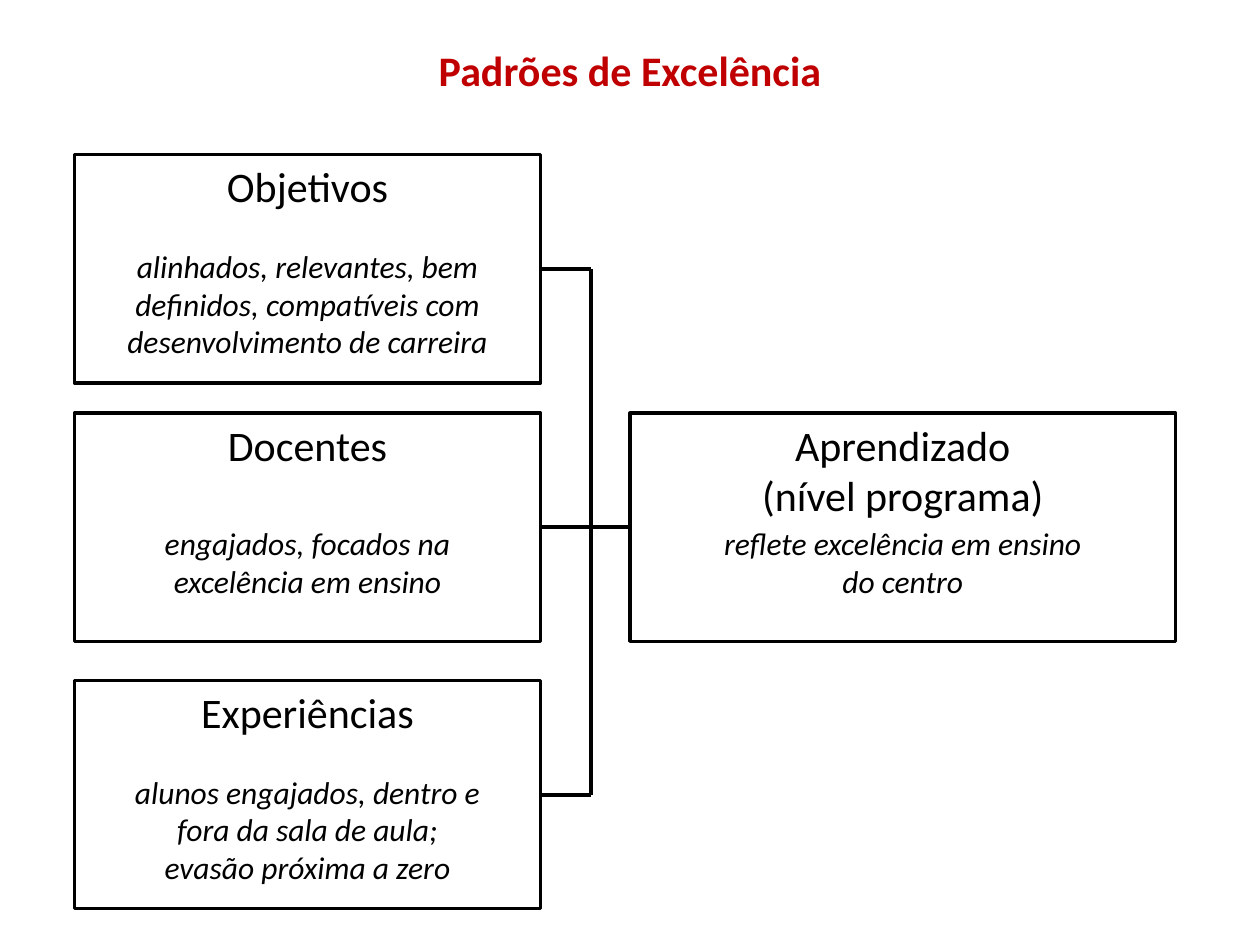
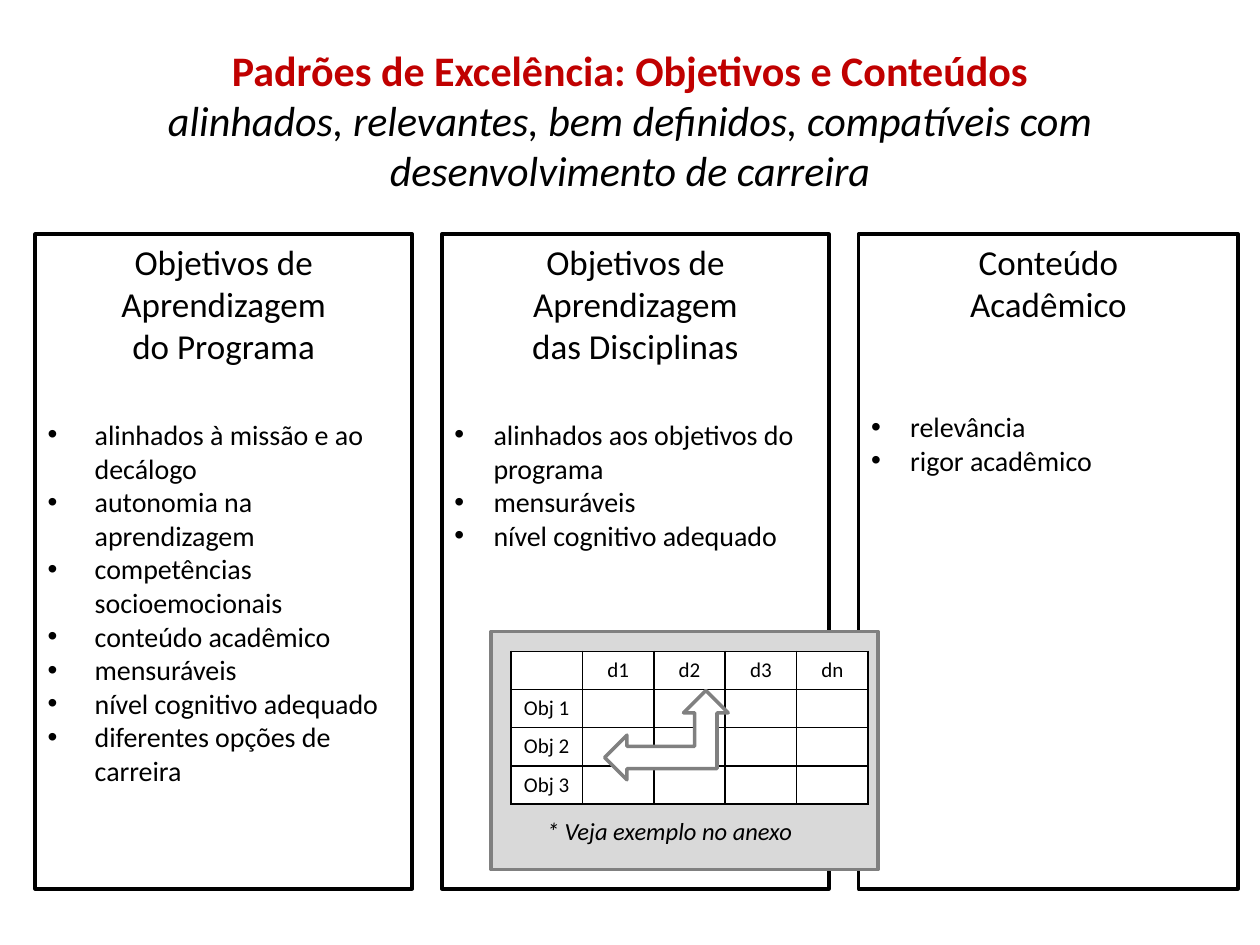
from lxml.etree import SubElement
from pptx import Presentation
from pptx.dml.color import RGBColor
from pptx.enum.shapes import MSO_CONNECTOR, MSO_SHAPE
from pptx.enum.text import MSO_ANCHOR, MSO_AUTO_SIZE, PP_ALIGN
from pptx.oxml.ns import qn
from pptx.util import Cm, Pt

FONT = "Calibri"
RED, BLACK, WHITE = "C00000", "000000", "FFFFFF"
GREY, LIGHT_GREY = "808080", "D9D9D9"
LINE_HEIGHT = 1.22  # height of a Calibri line, relative to its size


def colour(hex_text):
    return RGBColor.from_string(hex_text)


def style(font, size, hex_text=BLACK, bold=False, italic=False):
    font.name, font.size = FONT, Pt(size)
    font.bold, font.italic = bold, italic
    font.color.rgb = colour(hex_text)


def add_paragraphs(frame, lines, size, align=PP_ALIGN.CENTER, italic=False):
    """Append lines to a frame, starting in its first paragraph if empty."""
    added = []
    for line in lines:
        paragraph = frame.paragraphs[0] if not frame.text else frame.add_paragraph()
        paragraph.text = line
        paragraph.alignment = align
        style(paragraph.font, size, italic=italic)
        added.append(paragraph)
    return added


def add_bullet(paragraph, indent):
    properties = paragraph._p.get_or_add_pPr()
    properties.set("marL", str(Cm(indent)))
    properties.set("indent", str(-Cm(indent)))
    default_font = properties.find(qn("a:defRPr"))
    for tag, key, value in (("a:buFont", "typeface", "Arial"), ("a:buChar", "char", "•")):
        bullet = SubElement(properties, qn(tag))
        bullet.set(key, value)
        default_font.addprevious(bullet)


def add_outlined(slide, kind, left, top, width, height, fill=None, line=BLACK):
    shape = slide.shapes.add_shape(kind, Cm(left), Cm(top), Cm(width), Cm(height))
    shape.shadow.inherit = False
    if fill:
        shape.fill.solid()
        shape.fill.fore_color.rgb = colour(fill)
    else:
        shape.fill.background()
    shape.line.color.rgb = colour(line)
    shape.line.width = Pt(2)
    shape.text_frame.word_wrap = True
    shape.text_frame.vertical_anchor = MSO_ANCHOR.TOP
    return shape


def add_text(slide, left, top, width, height, lines, size, anchor=MSO_ANCHOR.TOP):
    frame = slide.shapes.add_textbox(Cm(left), Cm(top), Cm(width), Cm(height)).text_frame
    frame.word_wrap = True
    frame.vertical_anchor = anchor
    add_paragraphs(frame, lines, size, italic=True)


def add_line(slide, x1, y1, x2, y2):
    line = slide.shapes.add_connector(
        MSO_CONNECTOR.STRAIGHT, Cm(x1), Cm(y1), Cm(x2), Cm(y2))
    line.line.color.rgb = colour(BLACK)
    line.line.width = Pt(2.25)
    SubElement(line._element.spPr, qn("a:effectLst"))


def add_titled_slide(deck, heading, subtitle=None):
    slide = deck.slides.add_slide(deck.slide_layouts[5])
    title = slide.shapes.title
    title.left, title.top, title.width, title.height = Cm(1.27), Cm(0.76), Cm(22.86), Cm(4.95)
    frame = title.text_frame
    frame.word_wrap = True
    frame.auto_size = MSO_AUTO_SIZE.NONE
    frame.vertical_anchor = MSO_ANCHOR.TOP
    paragraph = frame.paragraphs[0]
    paragraph.alignment = PP_ALIGN.CENTER
    run = paragraph.add_run()
    run.text = heading
    style(run.font, 24, RED, bold=True)
    if subtitle:
        paragraph.add_line_break()
        run = paragraph.add_run()
        run.text = subtitle
        style(run.font, 24, italic=True)
    return slide


# Slide 1: three standards joined to the learning outcome
def add_standard(slide, left, top, width, height, heading, detail, inset):
    box = add_outlined(slide, MSO_SHAPE.RECTANGLE, left, top, width, height)
    add_paragraphs(box.text_frame, heading, 24)
    add_text(slide, left + inset, top + 1.4, width - 2 * inset, height - 1.4,
             detail, 18, MSO_ANCHOR.MIDDLE)


def build_standards(deck):
    slide = add_titled_slide(deck, "Padrões de Excelência")
    left, width, height = 1.5, 9.4, 4.6
    outcome_left, trunk_x = 12.7, 11.91
    standards = [
        (3.12, "Objetivos", ["alinhados, relevantes, bem definidos, compatíveis com "
                             "desenvolvimento de carreira"]),
        (8.33, "Docentes", ["engajados, focados na excelência em ensino"]),
        (13.72, "Experiências", ["alunos engajados, dentro e fora da sala de aula;",
                                 "evasão próxima a zero"]),
    ]
    for top, heading, detail in standards:
        add_standard(slide, left, top, width, height, [heading], detail, 0.8)
    add_standard(slide, outcome_left, standards[1][0], 11, height,
                 ["Aprendizado", "(nível programa)"],
                 ["reflete excelência em ensino", "do centro"], 0.6)

    # Trunk and branches, at the middle of each box
    first, middle, last = [top + height / 2 for top, _, _ in standards]
    add_line(slide, trunk_x, first, trunk_x, last)
    for y, end in ((first, trunk_x), (middle, outcome_left), (last, trunk_x)):
        add_line(slide, left + width, y, end, y)


# Slide 2: three columns and an example of the matrix
def add_column(slide, left, top, width, height, heading, bullets, gap, indent):
    frame = add_outlined(slide, MSO_SHAPE.RECTANGLE, left, top, width, height,
                         fill=WHITE).text_frame
    add_paragraphs(frame, heading, 20)
    items = add_paragraphs(frame, bullets, 16, PP_ALIGN.LEFT)
    items[0].space_before = Pt(gap)
    for item in items:
        add_bullet(item, indent)


def add_cell_borders(cell):
    properties = cell._tc.get_or_add_tcPr()
    for position, side in enumerate(("a:lnL", "a:lnR", "a:lnT", "a:lnB")):
        border = SubElement(properties, qn(side))
        border.set("w", str(Pt(1)))
        fill = SubElement(border, qn("a:solidFill"))
        SubElement(fill, qn("a:srgbClr")).set("val", BLACK)
        properties.insert(position, border)


def add_matrix(slide, left, top, column_width, row_height):
    disciplines = ["d1", "d2", "d3", "dn"]
    rows = [["", *disciplines]]
    rows += [[f"Obj {number}"] + [""] * len(disciplines) for number in (1, 2, 3)]
    matrix = slide.shapes.add_table(
        len(rows), len(rows[0]), Cm(left), Cm(top),
        Cm(column_width * len(rows[0])), Cm(row_height * len(rows))).table
    matrix.first_row = matrix.horz_banding = False
    for column in matrix.columns:
        column.width = Cm(column_width)
    for r, row in enumerate(rows):
        matrix.rows[r].height = Cm(row_height)
        for c, label in enumerate(row):
            cell = matrix.cell(r, c)
            cell.margin_left = cell.margin_right = Cm(0.1)
            cell.margin_top = cell.margin_bottom = 0
            cell.vertical_anchor = MSO_ANCHOR.MIDDLE
            cell.fill.solid()
            cell.fill.fore_color.rgb = colour(WHITE)
            add_paragraphs(cell.text_frame, [label], 12)
            add_cell_borders(cell)


def add_example(slide, left, top, width, height):
    add_outlined(slide, MSO_SHAPE.RECTANGLE, left, top, width, height, LIGHT_GREY, GREY)
    add_matrix(slide, left + 0.4, top + 0.4, 1.44, 0.77)
    add_outlined(slide, MSO_SHAPE.LEFT_UP_ARROW, left + 2.29, top + 1.19, 2.49, 1.8,
                 WHITE, GREY)
    add_text(slide, left, top + 3.6, 7.2, 0.8, ["* Veja exemplo no anexo"], 14)


def build_objectives(deck):
    slide = add_titled_slide(
        deck, "Padrões de Excelência: Objetivos e Conteúdos",
        "alinhados, relevantes, bem definidos, compatíveis com desenvolvimento de carreira")
    gap = 24 * LINE_HEIGHT
    columns = [
        (7.6, ["Objetivos de Aprendizagem", "do Programa"],
         ["alinhados à missão e ao decálogo", "autonomia na aprendizagem",
          "competências socioemocionais", "conteúdo acadêmico", "mensuráveis",
          "nível cognitivo adequado", "diferentes opções de carreira"], gap, 0.95),
        (7.8, ["Objetivos de Aprendizagem", "das Disciplinas"],
         ["alinhados aos objetivos do programa", "mensuráveis",
          "nível cognitivo adequado"], gap, 0.79),
        (7.65, ["Conteúdo", "Acadêmico"], ["relevância", "rigor acadêmico"],
         gap + 16 * LINE_HEIGHT, 0.79),
    ]
    left = 0.71
    for width, *content in columns:
        add_column(slide, left, 4.72, width, 13.2, *content)
        left += width + 0.6
    add_example(slide, 9.9, 12.73, 7.8, 4.8)


deck = Presentation()
deck.slide_width, deck.slide_height = Cm(25.4), Cm(19.05)
build_standards(deck)
build_objectives(deck)
deck.save("out.pptx")
